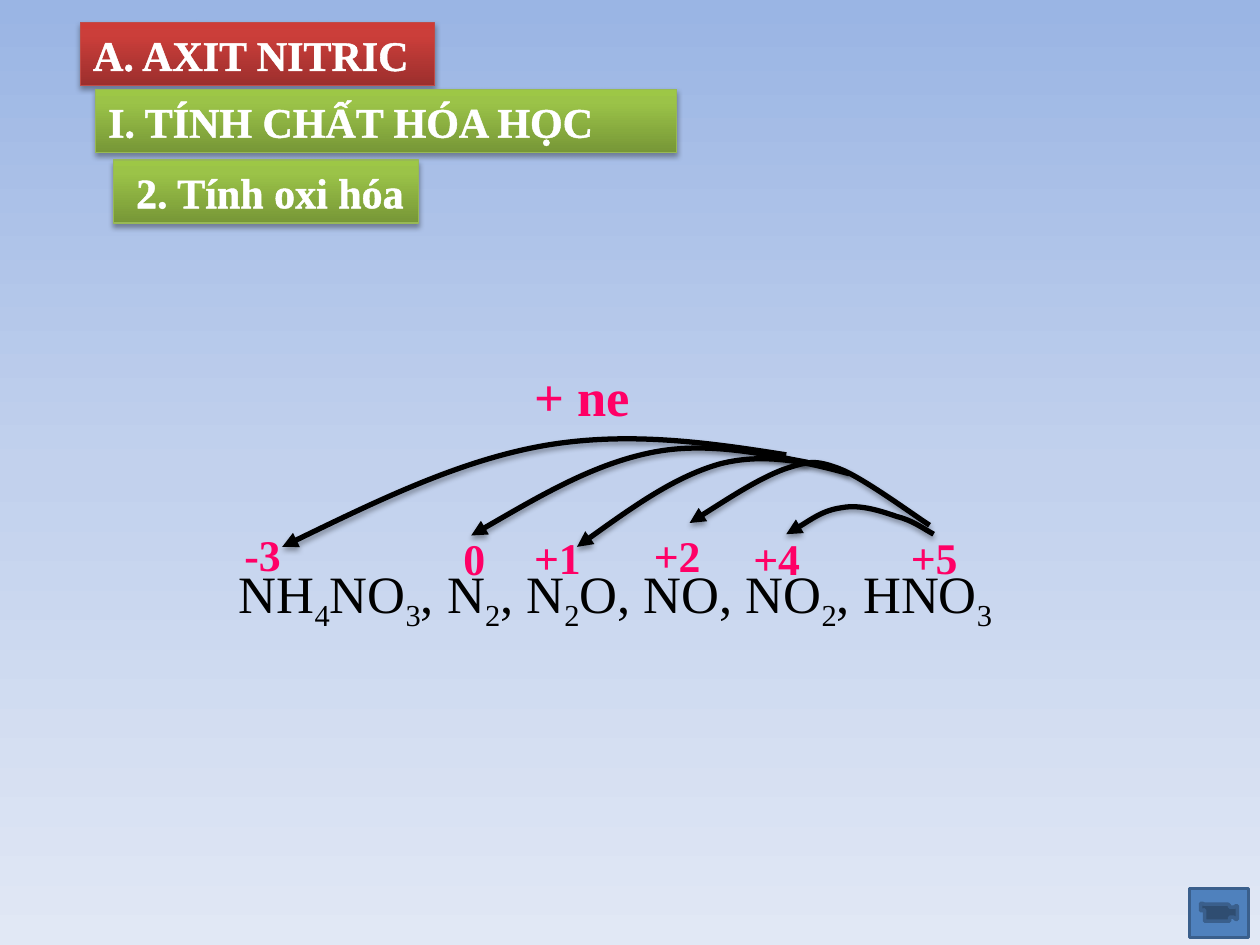
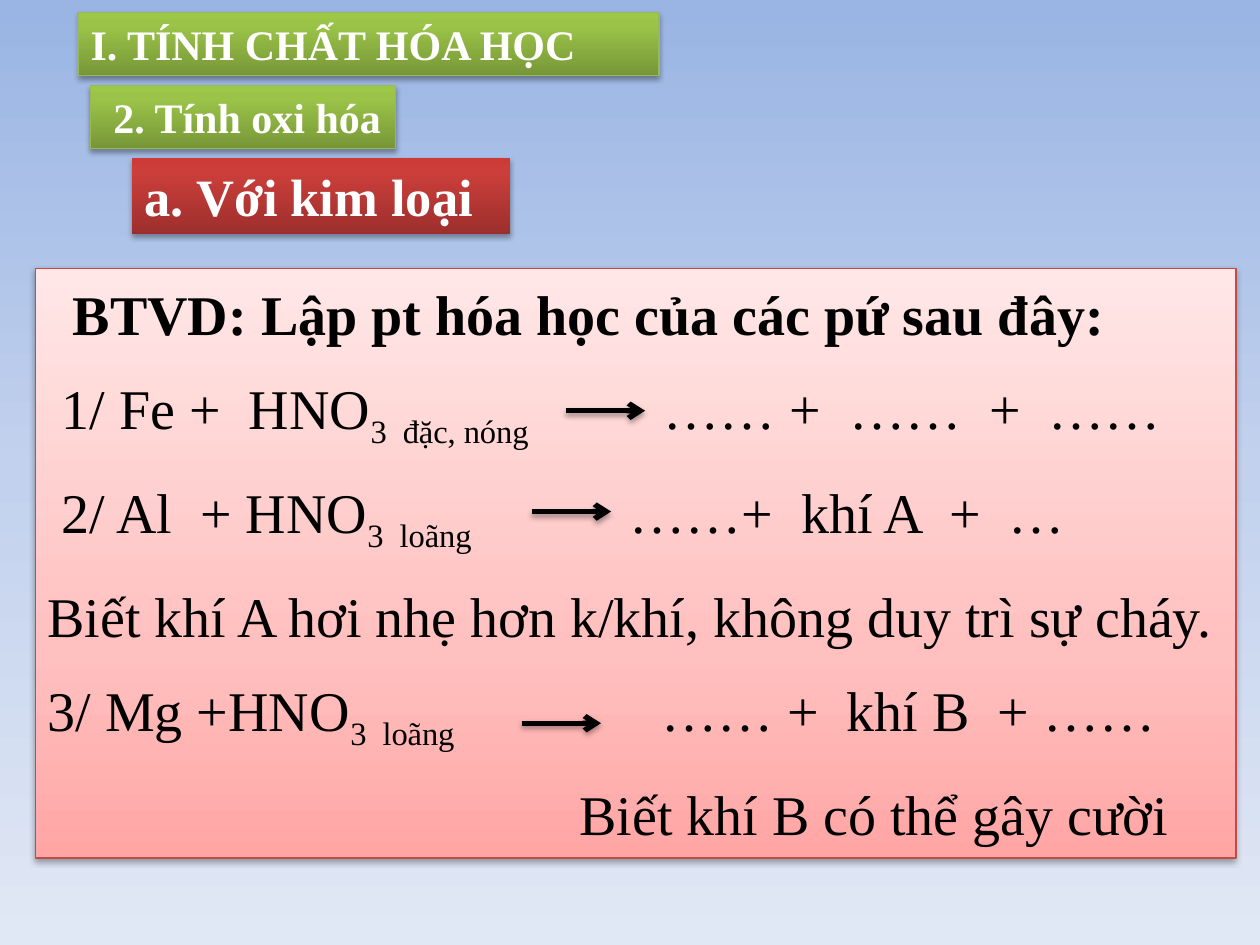
from lxml.etree import SubElement
from pptx import Presentation
from pptx.dml.color import RGBColor
from pptx.enum.shapes import MSO_CONNECTOR, MSO_SHAPE
from pptx.enum.text import MSO_ANCHOR, PP_ALIGN as ALIGN
from pptx.oxml.ns import qn
from pptx.util import Inches, Pt

FONT = "Times New Roman"
BLACK, WHITE, PINK = "000000", "FFFFFF", "FF0066"
SKY = [(0, "9AB5E4"), (50, "C2D1ED"), (100, "E1E8F5")]
RED = [(0, "9C2F2D"), (80, "CB3E3A"), (100, "CE3B37")]
GREEN = [(0, "779737"), (80, "9BC348"), (100, "9DC746")]
ROSE = [(0, "FFA6A5"), (35, "FFC0BF"), (100, "FFE7E7")]
RED_EDGE, GREEN_EDGE = "BF4C48", "98B955"


def rgb(value):
    return RGBColor.from_string(value)


def add_color(parent, value, alpha=None):
    color = SubElement(parent, qn("a:srgbClr"), val=value)
    if alpha:
        SubElement(color, qn("a:alpha"), val=str(alpha * 1000))


def set_gradient(fill, element, stops, angle):
    fill.gradient()
    fill.gradient_angle = angle
    stop_list = element.find(".//" + qn("a:gsLst"))
    for stop in list(stop_list):
        stop_list.remove(stop)
    for position, value in stops:
        add_color(SubElement(stop_list, qn("a:gs"), pos=str(position * 1000)), value)


def cast_shadow(shape):
    properties = shape._element.spPr
    effects = properties.find(qn("a:effectLst"))
    if effects is None:
        effects = SubElement(properties, qn("a:effectLst"))
    shadow = SubElement(effects, qn("a:outerShdw"), blurRad=str(Pt(3.1)),
                        dist=str(Pt(1.8)), dir="5400000", rotWithShape="0")
    add_color(shadow, BLACK, alpha=35)


def curve_segments(shape):
    """Turn every three line segments of an outline into one cubic curve."""
    lines = list(shape._element.spPr.iter(qn("a:lnTo")))
    outline = lines[0].getparent()
    for i in range(0, len(lines), 3):
        curve = SubElement(outline, qn("a:cubicBezTo"))
        for line in lines[i:i + 3]:
            curve.append(line[0])
            outline.remove(line)


def write(frame, text, size=24, color=WHITE, bold=False, align=ALIGN.LEFT,
          outlined=False, indent=0, tab=None, before=0, new=False):
    """Write one paragraph; parts between underscores are subscripts."""
    paragraph = frame.add_paragraph() if new else frame.paragraphs[0]
    paragraph.alignment = align
    paragraph.space_before = Pt(before)
    properties = paragraph._p.get_or_add_pPr()
    if indent:
        properties.set("indent", str(Inches(indent)))
    if tab:
        tab_list = SubElement(properties, qn("a:tabLst"))
        SubElement(tab_list, qn("a:tab"), pos=str(Inches(tab)), algn="l")
    for index, part in enumerate(text.split("_")):
        if not part:
            continue
        run = paragraph.add_run()
        run.text = part
        run.font.name, run.font.size, run.font.bold = FONT, Pt(size), bold
        run.font.color.rgb = rgb(color)
        run_properties = run._r.get_or_add_rPr()
        if index % 2:
            run_properties.set("baseline", "-25000")
        if outlined:
            outline = SubElement(run_properties, qn("a:ln"), w=str(Pt(1.45)))
            add_color(SubElement(outline, qn("a:solidFill")), WHITE)
            run_properties.insert(0, outline)


class Lesson:
    def __init__(self):
        self.deck = Presentation()
        self.deck.slide_width, self.deck.slide_height = Inches(10), Inches(7.5)

    def new_slide(self):
        self.slide = self.deck.slides.add_slide(self.deck.slide_layouts[6])
        self.shapes = self.slide.shapes
        set_gradient(self.slide.background.fill, self.slide._element, SKY, 270)

    def panel(self, x, y, width, height, stops, edge=None):
        panel = self.shapes.add_shape(MSO_SHAPE.RECTANGLE, Inches(x), Inches(y),
                                      Inches(width), Inches(height))
        panel.shadow.inherit = False
        set_gradient(panel.fill, panel._element.spPr, stops, 90)
        if edge:
            panel.line.color.rgb, panel.line.width = rgb(edge), Pt(0.75)
        else:
            panel.line.fill.background()
        cast_shadow(panel)
        return panel.text_frame

    def heading(self, text, x, y, width, stops, edge=None, height=0.5, inset=0.1, **style):
        frame = self.panel(x, y, width, height, stops, edge)
        frame.margin_left, frame.margin_right = Inches(inset), 0
        write(frame, text, bold=True, **style)

    def section_headings(self, x, y, sub_x, sub_y, outlined=False):
        self.heading("I. TÍNH CHẤT HÓA HỌC", x, y, 4.61, GREEN, GREEN_EDGE, outlined=outlined)
        self.heading("2. Tính oxi hóa", sub_x, sub_y, 2.42, GREEN, GREEN_EDGE,
                     inset=0.18, outlined=outlined)

    def label(self, text, x, y, width, height, **style):
        frame = self.shapes.add_textbox(Inches(x), Inches(y), Inches(width),
                                        Inches(height)).text_frame
        frame.word_wrap = True
        write(frame, text, **style)

    def arrow_line(self, line_shape, tip):
        line_shape.line.color.rgb, line_shape.line.width = rgb(BLACK), Pt(3)
        SubElement(line_shape._element.spPr.find(qn("a:ln")), qn("a:tailEnd"), type=tip)
        cast_shadow(line_shape)

    def electron_arc(self, knots, turn=0):
        start, *rest = [(Inches(x), Inches(y)) for x, y in knots]
        builder = self.shapes.build_freeform(*start)
        builder.add_line_segments(rest, close=False)
        arc = builder.convert_to_shape()
        curve_segments(arc)
        arc.rotation = turn
        arc.shadow.inherit = False
        arc.fill.background()
        self.arrow_line(arc, "triangle")

    def reaction_arrow(self, x, y, length=0.63):
        arrow = self.shapes.add_connector(MSO_CONNECTOR.STRAIGHT, Inches(x), Inches(y),
                                          Inches(x + length), Inches(y))
        self.arrow_line(arrow, "arrow")

    def movie_button(self, x, y, width, height):
        button = self.shapes.add_shape(MSO_SHAPE.ACTION_BUTTON_MOVIE, Inches(x), Inches(y),
                                       Inches(width), Inches(height))
        button.shadow.inherit = False
        button.fill.solid()
        button.fill.fore_color.rgb = rgb("4F81BD")
        button.line.color.rgb, button.line.width = rgb("3A5F8C"), Pt(2)


def oxidation_slide(lesson):
    lesson.new_slide()
    lesson.heading("A. AXIT NITRIC", 0.64, 0.18, 2.81, RED, RED_EDGE, outlined=True)
    lesson.section_headings(0.76, 0.71, 0.9, 1.27, outlined=True)

    # Nitrogen compounds and their oxidation numbers
    lesson.label("NH_4_NO_3_, N_2_, N_2_O, NO, NO_2_, HNO_3_", 0.97, 4.4, 7.83, 0.61,
                 size=30, color=BLACK, align=ALIGN.CENTER)
    numbers = [("-3", 1.84, 4.14), ("0", 3.58, 4.17), ("+1", 4.14, 4.16),
               ("+2", 5.09, 4.15), ("+4", 5.88, 4.17), ("+5", 7.13, 4.16)]
    for number, x, y in numbers:
        lesson.label(number, x, y, 0.75, 0.52, size=25, color=PINK, bold=True)

    # Electron gain from +5 to each lower state: curve points and rotation
    arcs = [
        ([(6.24, 3.61), (5.61, 3.51), (4.97, 3.42), (4.3, 3.54),
          (3.64, 3.66), (2.94, 4), (2.24, 4.34)], 0),
        ([(6.41, 3.67), (5.99, 3.59), (5.57, 3.5), (5.13, 3.6),
          (4.68, 3.7), (4.21, 3.98), (3.74, 4.25)], 0),
        ([(6.74, 3.76), (6.41, 3.67), (6.08, 3.59), (5.72, 3.68),
          (5.36, 3.78), (4.97, 4.06), (4.58, 4.34)], 0),
        ([(7.35, 3.84), (7.21, 3.81), (6.72, 3.67), (6.52, 3.67), (6.32, 3.67),
          (6.27, 3.7), (6.11, 3.83), (5.95, 3.97), (5.75, 4.24), (5.56, 4.49)], 20.5),
        ([(7.41, 4.24), (7.32, 4.19), (7.24, 4.13), (7.12, 4.1), (7, 4.06),
          (6.83, 4), (6.68, 4.03), (6.53, 4.05), (6.32, 4.2), (6.24, 4.24)], 0),
    ]
    for knots, turn in arcs:
        lesson.electron_arc(knots, turn)
    lesson.label("+ ne", 3.41, 2.84, 2.42, 0.61, size=30, color=PINK, bold=True,
                 align=ALIGN.CENTER)
    lesson.movie_button(9.44, 7.05, 0.47, 0.39)


def metals_slide(lesson):
    lesson.new_slide()

    # Exercise: text, first-line indent, tab stop after the reaction arrow
    exercise = lesson.panel(0.28, 2.13, 9.53, 4.68, ROSE, RED_EDGE)
    exercise.vertical_anchor = MSO_ANCHOR.MIDDLE
    rows = [
        ("BTVD: Lập pt hóa học của các pứ sau đây:", 0.2, None),
        (" 1/ Fe +  HNO_3  đặc, nóng_\t…… +  ……  +  ……", 0, 4.89),
        (" 2/ Al  + HNO_3  loãng_\t……+  khí A  +  …", 0, 4.62),
        ("Biết khí A hơi nhẹ hơn k/khí, không duy trì sự cháy.", 0, None),
        ("3/ Mg +HNO_3  loãng_\t…… +  khí B  + ……", 0, 4.87),
        ("Biết khí B có thể gây cười", 4.22, None),
    ]
    for index, (text, indent, tab) in enumerate(rows):
        write(exercise, text, size=32, color=BLACK, bold=index == 0, align=ALIGN.JUSTIFY,
              indent=indent, tab=tab, before=15.6 if index else 0, new=index > 0)

    lesson.heading("a. Với kim loại", 1.05, 1.25, 3, RED, height=0.61, size=30,
                   align=ALIGN.JUSTIFY)
    lesson.section_headings(0.62, 0.1, 0.72, 0.68)
    for x, y in [(4.49, 3.26), (4.22, 4.06), (4.14, 5.74)]:
        lesson.reaction_arrow(x, y)


def main():
    lesson = Lesson()
    oxidation_slide(lesson)
    metals_slide(lesson)
    lesson.deck.save("out.pptx")


if __name__ == "__main__":
    main()
